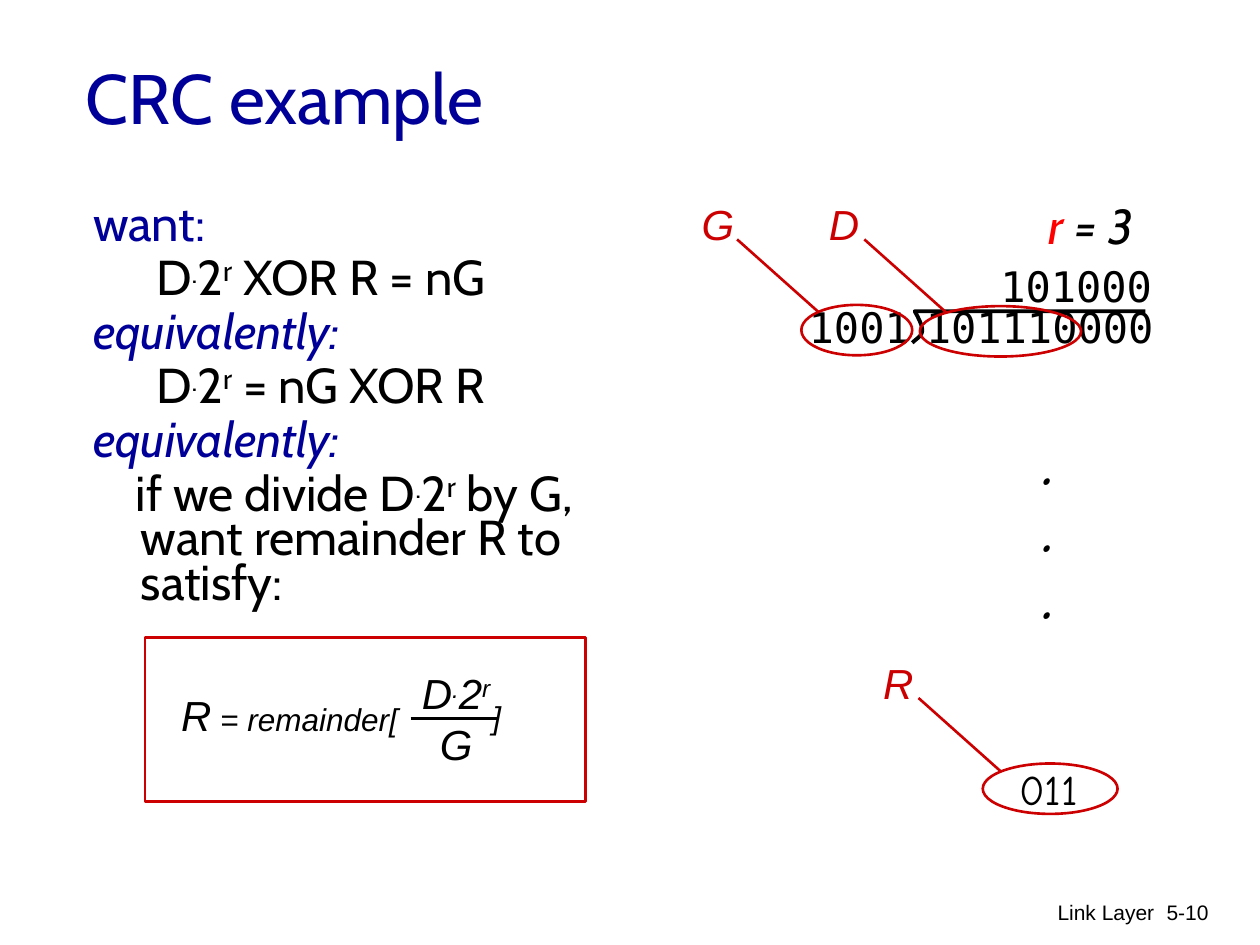
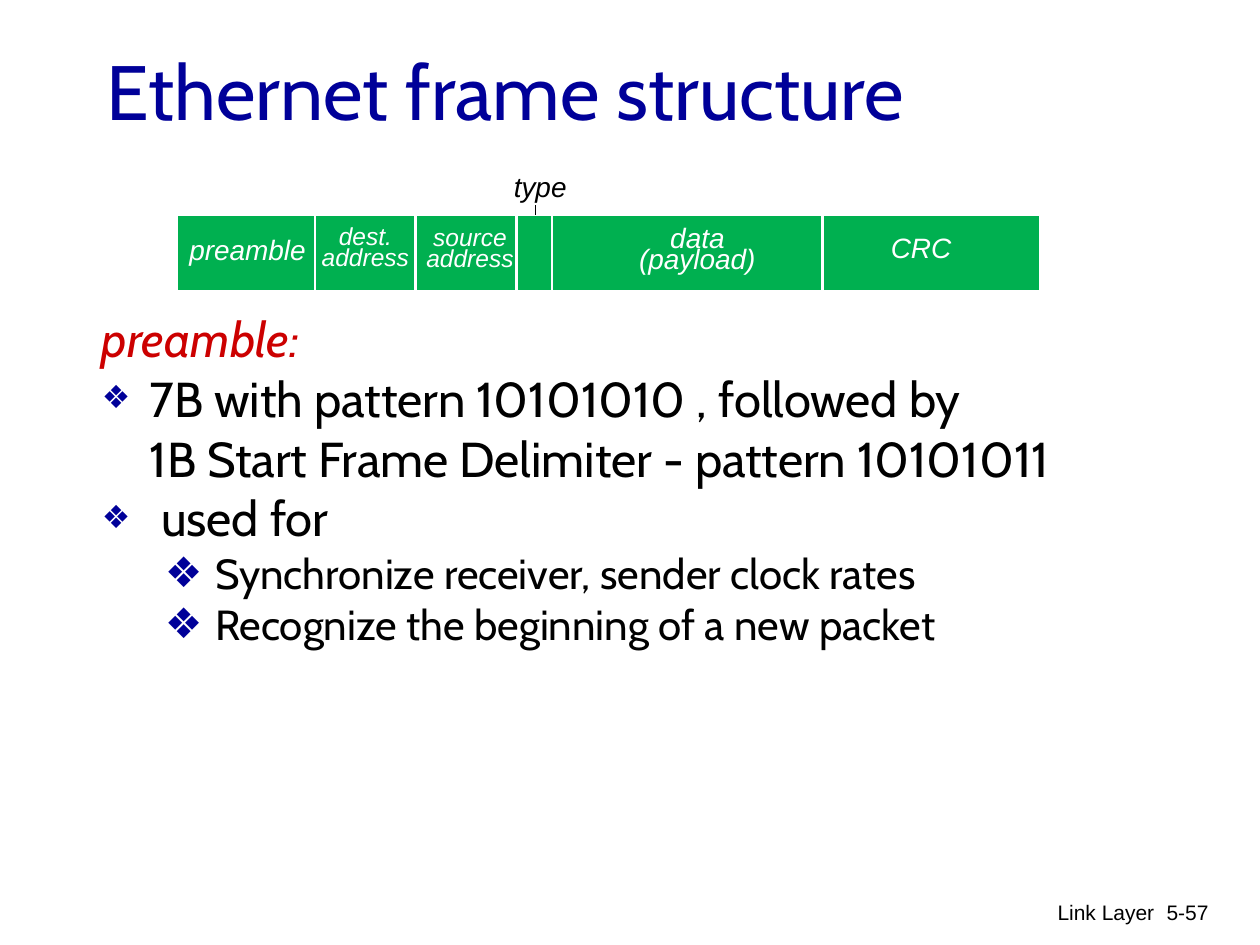
import pptx
import pptx.dml.color
import pptx.enum.shapes
import pptx.enum.text
import pptx.oxml.ns
import pptx.util
from lxml import etree

Inches = pptx.util.Inches
Pt = pptx.util.Pt
SHAPES = pptx.enum.shapes.MSO_SHAPE
CENTER = pptx.enum.text.PP_ALIGN.CENTER
RIGHT = pptx.enum.text.PP_ALIGN.RIGHT

COLORS = {
    "navy": "000099",
    "red": "CC0000",
    "bright_red": "FF0000",
    "green": "00B050",
    "black": "000000",
    "white": "FFFFFF",
}
SHIFTED_POWER = ["D", (".", {"raised": 26}), "2", ("r", {"raised": 30})]


def rgb(name):
    return pptx.dml.color.RGBColor.from_string(COLORS[name])


def add_child(parent, tag, **attributes):
    child = etree.SubElement(parent, pptx.oxml.ns.qn(tag))
    for key, value in attributes.items():
        child.set(key, str(value))
    return child


def format_span(span, size, color, font, italic=False, bold=False, raised=0):
    span.font.size = Pt(size)
    span.font.name = font
    span.font.italic = italic
    span.font.bold = bold
    span.font.color.rgb = rgb(color)
    if raised:
        span._r.get_or_add_rPr().set("baseline", str(raised * 1000))


def write_para(para, spans, align=None, spacing=None, before=0, left=0,
               first=0, bullet_size=None, **style):
    para.alignment = align
    para.line_spacing = spacing
    para.space_before = Pt(before)
    settings = para._p.get_or_add_pPr()
    settings.set("marL", str(Inches(left)))
    settings.set("indent", str(Inches(first)))
    if bullet_size:
        bullet_color = add_child(settings, "a:buClr")
        add_child(bullet_color, "a:srgbClr", val=COLORS["navy"])
        add_child(settings, "a:buSzPct", val=bullet_size * 1000)
        add_child(settings, "a:buFont", typeface="DejaVu Sans")
        add_child(settings, "a:buChar", char="❖")
    for item in spans:
        text, changes = (item, {}) if isinstance(item, str) else item
        span = para.add_run()
        span.text = text
        format_span(span, **{**style, **changes})


def add_text(page, at, paras, wrap=True, middle=False, **style):
    box = page.shapes.add_textbox(*map(Inches, at))
    frame = box.text_frame
    frame.word_wrap = wrap
    if not wrap:
        frame.auto_size = pptx.enum.text.MSO_AUTO_SIZE.SHAPE_TO_FIT_TEXT
    if middle:
        frame.vertical_anchor = pptx.enum.text.MSO_ANCHOR.MIDDLE
    for number, item in enumerate(paras):
        spans, changes = item if isinstance(item, tuple) else (item, {})
        para = frame.add_paragraph() if number else frame.paragraphs[0]
        settings = {"font": "Arial", "color": "black", **style, **changes}
        if number == 0:
            settings["before"] = 0
        write_para(para, spans, **settings)


def add_line(page, start, end, color, width=1.5):
    line = page.shapes.add_connector(
        pptx.enum.shapes.MSO_CONNECTOR.STRAIGHT, *map(Inches, (*start, *end)))
    line.line.color.rgb = rgb(color)
    line.line.width = Pt(width)
    add_child(line._element.spPr, "a:effectLst")


def add_outline(page, kind, at, line, width=1.5, fill=None):
    shape = page.shapes.add_shape(kind, *map(Inches, at))
    shape.shadow.inherit = False
    if fill:
        shape.fill.solid()
        shape.fill.fore_color.rgb = rgb(fill)
    else:
        shape.fill.background()
    shape.line.color.rgb = rgb(line)
    shape.line.width = Pt(width)


def add_callout(page, letter, start, ellipse):
    x, y = start
    add_outline(page, SHAPES.OVAL, ellipse, "red")
    add_line(page, start, (x + 0.65, y + 0.58), "red")
    add_text(page, (x - 0.38, y - 0.37, 0.55, 0.5), [[letter]], wrap=False,
             size=24, color="red", italic=True)


def bezier(points, steps=12):
    for step in range(1, steps + 1):
        t = step / steps
        weights = ((1 - t) ** 3, 3 * t * (1 - t) ** 2, 3 * t * t * (1 - t), t ** 3)
        yield tuple(sum(w * point[axis] for w, point in zip(weights, points))
                    for axis in (0, 1))


def add_division_bracket(page):
    corner = (7.26, 2.47)
    curve = bezier([corner, (7.36, 2.65), (7.32, 2.65), (7.24, 2.72)])
    builder = page.shapes.build_freeform(Inches(9.09), Inches(2.47))
    builder.add_line_segments(
        [(Inches(x), Inches(y)) for x, y in (corner, *curve)], close=False)
    bracket = builder.convert_to_shape()
    bracket.shadow.inherit = False
    bracket.fill.background()
    bracket.line.color.rgb = rgb("black")
    bracket.line.width = Pt(2.25)


def add_page(deck, number, title, title_at, title_size):
    page = deck.slides.add_slide(deck.slide_layouts[6])
    add_text(page, (6.09, 7.09, 3.17, 0.5), [["Link Layer"]], size=12, align=RIGHT)
    add_text(page, (8.95, 7.09, 0.74, 0.5), [[number]], size=12, align=RIGHT)
    add_text(page, title_at, [[title]], middle=True, size=title_size,
             font="Cabin", color="navy")
    return page


def add_crc_conditions(page):
    heading = {"color": "navy", "left": 0.38, "first": -0.38}
    formula = {"left": 0.81, "first": -0.31}
    equivalently = (["equivalently:"], {**heading, "italic": True})
    add_text(page, (0.64, 1.59, 4.06, 3.55), [
        (["want:"], heading),
        ([*SHIFTED_POWER, " XOR R = nG"], formula),
        equivalently,
        ([*SHIFTED_POWER, " = nG XOR R"], formula),
        equivalently,
        (["if we divide ", *SHIFTED_POWER, " by G, want remainder R to satisfy:"],
         {"left": 0.38, "first": -0.04}),
    ], size=28, font="Cabin", spacing=0.75, before=5.6)


def add_remainder_formula(page):
    add_text(page, (1.34, 5.42, 2.1, 0.5),
             [[("R", {"size": 24}), " = remainder["]], size=18, italic=True)
    add_text(page, (3.81, 5.49, 0.4, 0.4), [["]"]], size=18, italic=True)
    add_text(page, (2.89, 5.25, 1.46, 0.9), [SHIFTED_POWER, ["G"]],
             size=24, italic=True, align=CENTER)
    add_line(page, (3.26, 5.7), (3.95, 5.7), "black")
    add_outline(page, SHAPES.RECTANGLE, (1.15, 5.06, 3.5, 1.3), "red")


def add_long_division(page):
    for digits, at in (("1001", (6.32, 2.34, 1.01, 0.5)),
                       ("101110000", (7.25, 2.34, 2.02, 0.5)),
                       ("101000", (7.84, 2.02, 1.41, 0.5))):
        add_text(page, at, [[digits]], wrap=False, size=24, font="DejaVu Sans Mono")
    add_division_bracket(page)
    add_callout(page, "D", (6.86, 1.9), (7.3, 2.43, 1.28, 0.4))
    add_callout(page, "G", (5.85, 1.9), (6.36, 2.42, 0.88, 0.4))
    add_callout(page, "R", (7.29, 5.54), (7.8, 6.06, 1.07, 0.4))
    add_text(page, (8.22, 1.5, 1.04, 0.57), [[("r ", {"color": "bright_red"}), "= 3"]],
             wrap=False, size=28, font="Cabin", italic=True)
    add_text(page, (7.99, 6.01, 0.71, 0.5), [["011"]], wrap=False, size=24,
             font="Comic Neue")
    add_text(page, (8.19, 3.36, 0.4, 1.72), [["."]] * 3, wrap=False, size=32,
             font="Comic Neue", bold=True, italic=True)


def add_frame_diagram(page):
    add_line(page, (4.25, 1.63), (4.25, 1.85), "black", 0.75)
    add_outline(page, SHAPES.RECTANGLE, (1.41, 1.71, 6.84, 0.6), "white", 0.75, "green")
    for x in (2.5, 3.3, 4.1, 4.38, 6.53):
        add_line(page, (x, 1.7), (x, 2.34), "white")
    for lines, at, size in (
            (("dest.", "address"), (2.44, 1.77, 0.92, 0.45), 14),
            (("source", "address"), (3.27, 1.78, 0.92, 0.45), 14),
            (("data (payload)",), (4.83, 1.8, 1.41, 0.45), 16),
            (("CRC",), (6.84, 1.88, 0.94, 0.29), 16),
            (("preamble",), (1.38, 1.9, 1.17, 0.29), 16)):
        add_text(page, at, [[line] for line in lines], size=size, color="white",
                 italic=True, align=CENTER, spacing=Pt(12))
    add_text(page, (3.98, 1.3, 0.84, 0.37), [["type"]], size=16, italic=True)


def add_preamble_notes(page):
    sub_point = {"size": 24, "before": 4.8, "left": 0.9, "first": -0.4,
                 "bullet_size": 100}
    add_text(page, (0.71, 2.47, 8.5, 4.02), [
        (["preamble:"], {"color": "red", "italic": True}),
        (["7B with pattern 10101010 , followed by"],
         {"left": 0.38, "first": -0.38, "bullet_size": 65}),
        (["1B Start Frame Delimiter - pattern 10101011"], {"left": 0.38}),
        (["used for"], {"left": 0.47, "first": -0.47, "bullet_size": 65}),
        (["Synchronize receiver, sender clock rates"], sub_point),
        (["Recognize the beginning of a new packet"], sub_point),
    ], size=28, font="Cabin", spacing=0.85, before=5.6)


def main():
    deck = pptx.Presentation()
    deck.slide_width = Inches(10)
    deck.slide_height = Inches(7.5)

    crc = add_page(deck, "5-10", "CRC example", (0.58, 0.14, 8.5, 1.25), 40)
    add_crc_conditions(crc)
    add_remainder_formula(crc)
    add_long_division(crc)

    ethernet = add_page(deck, "5-57", "Ethernet frame structure",
                        (0.75, 0.38, 8.5, 0.67), 44)
    add_preamble_notes(ethernet)
    add_frame_diagram(ethernet)

    deck.save("out.pptx")


if __name__ == "__main__":
    main()
